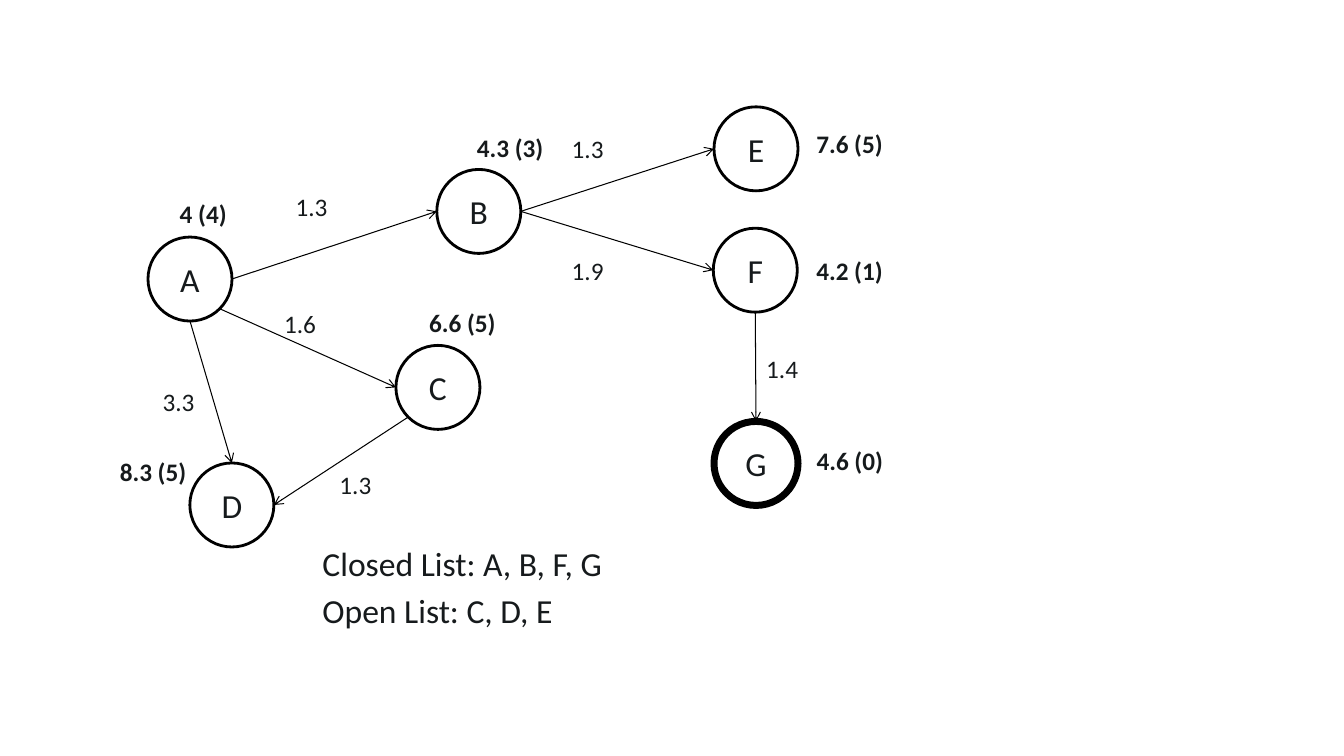
from math import cos, radians, sin
from lxml.etree import SubElement
from pptx import Presentation
from pptx.dml.color import RGBColor
from pptx.enum.shapes import MSO_CONNECTOR as Link, MSO_SHAPE as Shape
from pptx.enum.text import MSO_ANCHOR as Anchor, PP_ALIGN as Align
from pptx.oxml.ns import qn
from pptx.util import Pt

BLACK = RGBColor(0x00, 0x00, 0x00)
INK = RGBColor(0x16, 0x1A, 0x1C)
FONT = "Calibri"
SIZE = 60
RAD = SIZE / 2

nodes = {
    "A": (135.7, 199.3, 2),
    "B": (342, 151, 2),
    "C": (312.8, 276.7, 2),
    "D": (165.6, 360.7, 2),
    "E": (540, 106.3, 2),
    "F": (539.5, 193, 2),
    "G": (540, 331, 5),
}
RIGHT, LOW, DOWN, BACK, LEFT, UP = 0, 45, 90, 135, 180, 270
edges = [
    ("A", RIGHT, "B", LEFT),
    ("A", LOW, "C", LEFT),
    ("A", DOWN, "D", UP),
    ("B", RIGHT, "E", LEFT),
    ("B", RIGHT, "F", LEFT),
    ("C", BACK, "D", RIGHT),
    ("F", DOWN, "G", UP),
]
costs = [
    ("1.3", 204, 133.2),
    ("1.6", 195.8, 216.7),
    ("3.3", 109, 272.6),
    ("1.3", 401.3, 91.4),
    ("1.9", 401.3, 178.6),
    ("1.3", 235.4, 331.9),
    ("1.4", 540.2, 248.7),
]
scores = [
    ("4 (4)", 121.3, 138.2),
    ("4.3 (3)", 333.6, 90.7),
    ("6.6 (5)", 299.5, 216),
    ("8.3 (5)", 78.5, 322.1),
    ("7.6 (5)", 576, 87.8),
    ("4.2 (1)", 576, 178.6),
    ("4.6 (0)", 576.2, 314.6),
]


def write(para, text, size, bold=False):
    run = para.add_run()
    run.text = text
    run.font.name = FONT
    run.font.size = Pt(size)
    run.font.bold = bold
    run.font.color.rgb = INK


def rim(name, angle):
    x, y, _ = nodes[name]
    turn = radians(angle)
    return Pt(x + RAD * cos(turn)), Pt(y + RAD * sin(turn))


deck = Presentation()
deck.slide_width, deck.slide_height = Pt(960), Pt(540)
slide = deck.slides.add_slide(deck.slide_layouts[6])
shapes = slide.shapes

for name, (x, y, width) in nodes.items():
    node = shapes.add_shape(Shape.OVAL, Pt(x - RAD), Pt(y - RAD), Pt(SIZE), Pt(SIZE))
    node.shadow.inherit = False
    node.fill.background()
    node.line.color.rgb = BLACK
    node.line.width = Pt(width)
    frame = node.text_frame
    frame.word_wrap = False
    frame.vertical_anchor = Anchor.MIDDLE
    frame.paragraphs[0].alignment = Align.CENTER
    write(frame.paragraphs[0], name, 24)

for start, leave, end, enter in edges:
    edge = shapes.add_connector(Link.STRAIGHT, *rim(start, leave), *rim(end, enter))
    edge.line.color.rgb = BLACK
    edge.line.width = Pt(0.75)
    SubElement(edge.line._get_or_add_ln(), qn("a:tailEnd"), type="arrow")
    SubElement(edge._element.spPr, qn("a:effectLst"))

for group, width, bold in ((costs, 37.5, False), (scores, 62, True)):
    for text, x, y in group:
        label = shapes.add_textbox(Pt(x), Pt(y), Pt(width), Pt(29))
        label.text_frame.word_wrap = False
        write(label.text_frame.paragraphs[0], text, 18, bold)

lists = shapes.add_textbox(Pt(223.2), Pt(384.5), Pt(216.7), Pt(70.6))
frame = lists.text_frame
frame.word_wrap = False
write(frame.paragraphs[0], "Closed List: A, B, F, G", 24)
para = frame.add_paragraph()
para.space_before = Pt(4.8)
write(para, "Open List: C, D, E", 24)

deck.save("out.pptx")
